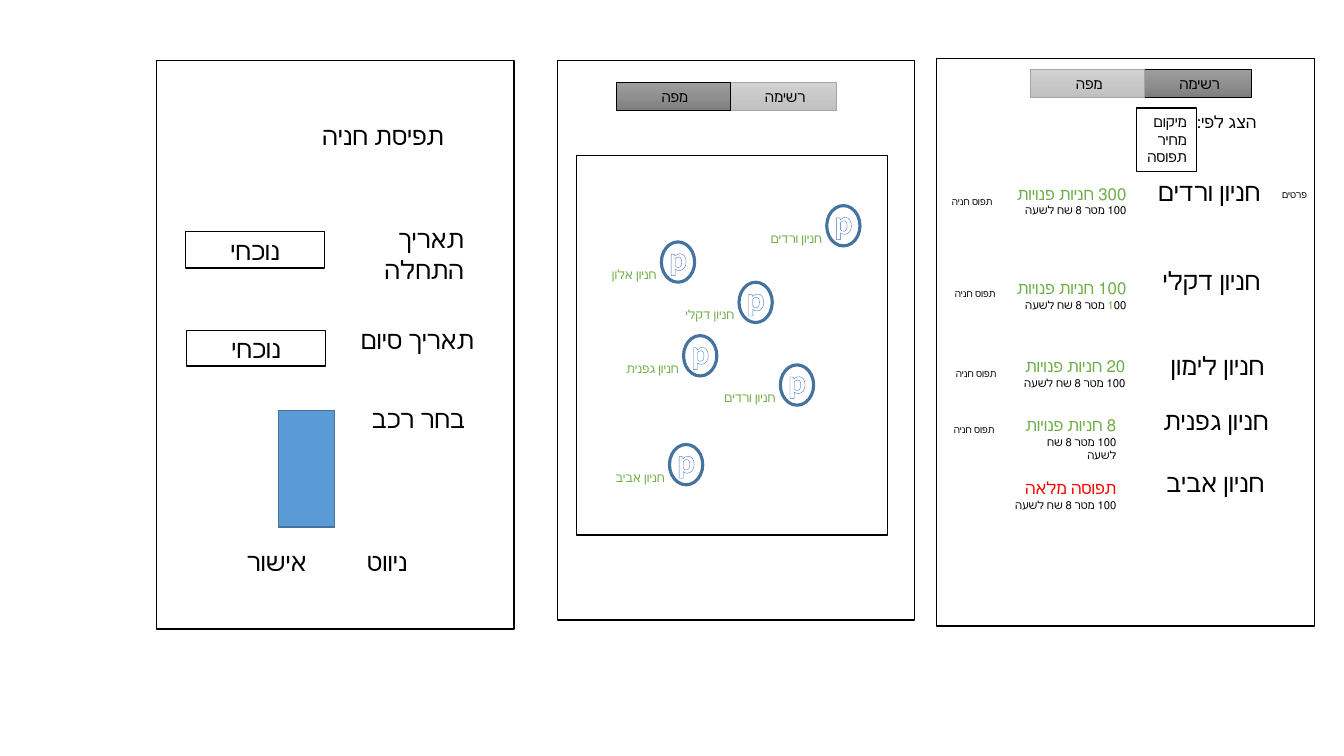
"""Build a slide of three parking app screens: booking form, map and list."""
from copy import deepcopy
from dataclasses import dataclass

from lxml import etree
from pptx import Presentation
from pptx import util as u
from pptx.dml.color import RGBColor
from pptx.enum import shapes, text
from pptx.oxml.ns import qn


@dataclass(frozen=True)
class Theme:
    """Colours, font and type sizes."""
    font: str = "Calibri"
    ink: str = "000000"
    paper: str = "FFFFFF"
    free: str = "70AD47"
    full: str = "FF0000"
    blue: str = "5B9BD5"
    blue_edge: str = "43739E"
    glyph_edge: str = "4472C4"
    tab_on: tuple = ("9D9D9D", "909090", "7C7C7C")
    tab_off: tuple = ("D2D2D2", "C8C8C8", "C0C0C0")
    tab_off_edge: str = "A5A5A5"
    pin: float = 24
    title: float = 18
    status: float = 12
    control: float = 10.5
    label: float = 9
    detail: float = 8
    action: float = 7


T = Theme()
RIGHT, CENTER = text.PP_ALIGN.RIGHT, text.PP_ALIGN.CENTER
RATE = "100 מטר 8 שח לשעה"
ROSES, PALM, LEMON, VINE, SPRING, OAK = (
    "חניון ורדים", "חניון דקלי", "חניון לימון",
    "חניון גפנית", "חניון אביב", "חניון אלון")


def inches(*values):
    """Convert numbers to lengths."""
    return [u.Inches(v) for v in values]


def write(tf, content, size=T.title, color=T.ink, align=RIGHT, bold=None, first=True):
    """Write a right-to-left paragraph from a string or (text, colour) runs."""
    p = tf.paragraphs[0] if first else tf.add_paragraph()
    p.alignment = align
    p._p.get_or_add_pPr().set("rtl", "1")
    runs = [(content, color)] if isinstance(content, str) else content
    for words, tint in runs:
        r = p.add_run()
        r.text = words
        r.font.name, r.font.size, r.font.bold = T.font, u.Pt(size), bold
        r.font.color.rgb = RGBColor.from_string(tint)


def add_text(parent, at, content, **fmt):
    """Add a wrapping text box that fits its text."""
    tf = parent.shapes.add_textbox(*inches(*at)).text_frame
    tf.word_wrap = True
    tf.auto_size = text.MSO_AUTO_SIZE.SHAPE_TO_FIT_TEXT
    write(tf, content, **fmt)
    return tf


def add_box(parent, at, fill=T.paper, line=T.ink, width=1, kind="RECTANGLE"):
    """Add an outlined shape with a solid fill or none."""
    sp = parent.shapes.add_shape(shapes.MSO_SHAPE[kind], *inches(*at))
    sp.shadow.inherit = False
    if fill:
        sp.fill.solid()
        sp.fill.fore_color.rgb = RGBColor.from_string(fill)
    else:
        sp.fill.background()
    sp.line.color.rgb = RGBColor.from_string(line)
    sp.line.width = u.Pt(width)
    return sp


def shade(sp, colors):
    """Fill a shape with a three-stop gradient running downwards."""
    sp.fill.gradient()
    sp.fill.gradient_angle = 270
    stops = sp._element.spPr.find(qn("a:gradFill")).find(qn("a:gsLst"))
    stops.insert(1, deepcopy(stops[0]))
    for i, (stop, color) in enumerate(zip(sp.fill.gradient_stops, colors)):
        stop.position = i / 2
        stop.color.rgb = RGBColor.from_string(color)


def add_tabs(s, x, y, active):
    """Add the list and map tabs with the active one darker."""
    grp = s.shapes.add_group_shape()
    for name, left, width in (("רשימה ", x + 1.13, 1.06), ("מפה ", x, 1.13)):
        on = name.strip() == active
        sp = add_box(grp, (left, y, width, 0.28),
                     line=T.ink if on else T.tab_off_edge, width=0.5)
        shade(sp, T.tab_on if on else T.tab_off)
        sp.text_frame.vertical_anchor = text.MSO_ANCHOR.TOP
        write(sp.text_frame, name, size=T.control, align=CENTER)


def outline_text(r, color, width):
    """Draw a contour around the letters of a run."""
    ln = etree.Element(qn("a:ln"), w=str(int(u.Pt(width))))
    fill = etree.SubElement(ln, qn("a:solidFill"))
    etree.SubElement(fill, qn("a:srgbClr"), val=color)
    r._r.get_or_add_rPr().insert(0, ln)


def add_pin(s, x, y, name):
    """Add a map pin with its car park name."""
    grp = s.shapes.add_group_shape()
    tf = add_text(grp, (x - 0.19, y - 0.1, 0.71, 0.5), "p", size=T.pin,
                  color=T.paper, align=CENTER, bold=True)
    outline_text(tf.paragraphs[0].runs[0], T.glyph_edge, 0.8)
    add_box(grp, (x, y, 0.33, 0.4), None, T.blue_edge, 2.25, "OVAL")
    add_text(grp, (x - 0.76, y + 0.2, 0.81, 0.25), name, size=T.label, color=T.free)


def add_status(s, at, status, color=T.free, rate=RATE):
    """Add the free places of a car park above its rate."""
    tf = add_text(s, at, status, size=T.status, color=color)
    write(tf, rate, size=T.detail, first=False)


def add_list_screen(s):
    """Add the screen that lists the car parks."""
    add_box(s, (9.29, 0.58, 3.75, 5.63))
    for x, y, name in ((11.27, 1.7, ROSES), (11.27, 2.58, PALM), (11.31, 3.43, LEMON),
                       (11.35, 3.97, VINE), (11.31, 4.59, SPRING)):
        add_text(s, (x, y, 1.33, 0.4), name)
    add_status(s, (9.84, 1.77, 1.43, 0.44), "300 חניות פנויות")
    add_status(s, (9.78, 2.71, 1.49, 0.64), "100 חניות פנויות",
               rate=[(RATE[0], T.free), (RATE[1:], T.ink)])
    add_status(s, (9.8, 3.48, 1.46, 0.64), "20 חניות פנויות")
    add_status(s, (10.04, 4.07, 1.13, 0.77), "8 חניות פנויות")
    add_status(s, (9.84, 4.69, 1.33, 0.64), "תפוסה מלאה", T.full)
    add_text(s, (11.75, 1.06, 0.81, 0.3), "הצג לפי:", size=T.status)
    tf = add_box(s, (11.27, 1.07, 0.6, 0.63)).text_frame
    tf.vertical_anchor = text.MSO_ANCHOR.TOP
    for i, key in enumerate(("מיקום", "מחיר", "תפוסה")):
        write(tf, key, size=T.control, first=i == 0)
    add_tabs(s, 10.22, 0.69, "רשימה")
    for x, y in ((9.33, 1.89), (9.36, 2.8), (9.37, 3.6), (9.35, 4.15)):
        add_text(s, (x, y, 0.61, 0.22), "תפוס חניה", size=T.action)
    add_text(s, (12.45, 1.82, 0.61, 0.22), "פרטים", size=T.action)


def add_map_screen(s):
    """Add the screen that shows the car parks on a map."""
    add_box(s, (5.53, 0.6, 3.54, 5.55))
    add_box(s, (5.72, 1.54, 3.08, 3.77))
    add_tabs(s, 6.11, 0.82, "מפה")
    for x, y, name in ((8.2, 2.04, ROSES), (7.74, 3.62, ROSES), (6.78, 3.33, VINE),
                       (6.56, 2.4, OAK), (7.33, 2.8, PALM), (6.64, 4.41, SPRING)):
        add_pin(s, x, y, name)


def add_booking_screen(s):
    """Add the screen that books a parking place."""
    grp = s.shapes.add_group_shape()
    add_box(grp, (1.55, 0.6, 3.55, 5.64))
    add_text(grp, (3.22, 2.17, 1.48, 0.71), "תאריך התחלה")
    add_text(grp, (3.39, 3.17, 1.41, 0.4), "תאריך סיום")
    add_text(grp, (1.92, 1.14, 2.58, 0.4), "תפיסת חניה")
    for x, y, height in ((1.84, 2.3, 0.36), (1.85, 3.28, 0.35)):
        tf = add_box(grp, (x, y, 1.38, height)).text_frame
        tf.vertical_anchor = text.MSO_ANCHOR.MIDDLE
        write(tf, "נוכחי", align=CENTER)
    add_text(s, (3.35, 3.95, 1.36, 0.4), "בחר רכב")
    add_box(s, (2.76, 4.07, 0.56, 1.16), T.blue, T.blue_edge)
    for x, name in ((2.23, "אישור"), (3.23, "ניווט")):
        add_text(s, (x, 5.37, 0.91, 0.4), name)


def main():
    """Build and save the slide."""
    prs = Presentation()
    prs.slide_width, prs.slide_height = inches(13.33, 7.5)
    s = prs.slides.add_slide(prs.slide_layouts[6])
    add_list_screen(s)
    add_map_screen(s)
    add_booking_screen(s)
    prs.save("out.pptx")


main()
